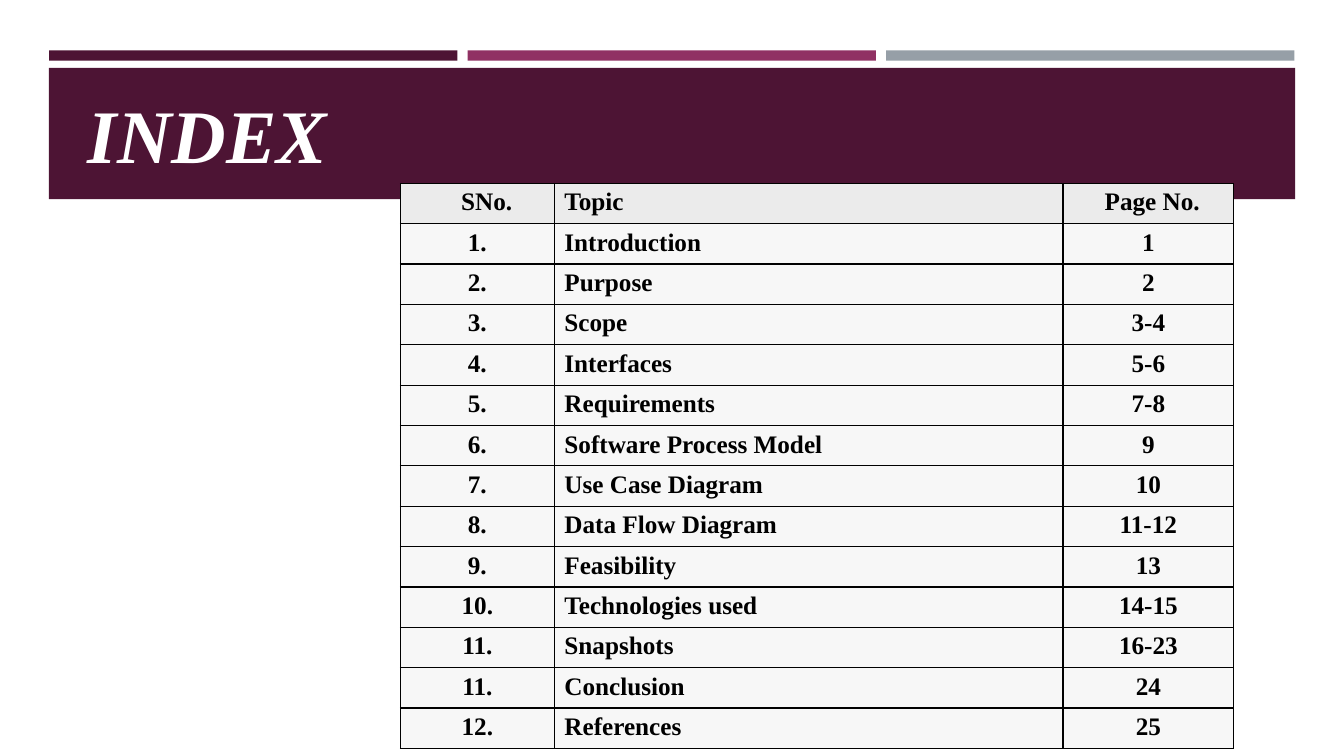
from lxml import etree
from pptx import Presentation
from pptx.dml.color import RGBColor
from pptx.enum.shapes import MSO_SHAPE
from pptx.enum.text import MSO_ANCHOR, PP_ALIGN
from pptx.oxml.ns import qn
from pptx.util import Cm, Pt

RECTANGLE = MSO_SHAPE.RECTANGLE
BOTTOM = MSO_ANCHOR.BOTTOM
LEFT, CENTER = PP_ALIGN.LEFT, PP_ALIGN.CENTER

PLUM = RGBColor(0x4D, 0x14, 0x34)
MAGENTA = RGBColor(0x90, 0x31, 0x63)
GREY = RGBColor(0x96, 0x9F, 0xA7)
WHITE = RGBColor(0xFF, 0xFF, 0xFF)
BLACK = RGBColor(0, 0, 0)
HEADER_FILL = RGBColor(0xEB, 0xEB, 0xEB)
BODY_FILL = RGBColor(0xF7, 0xF7, 0xF7)
FONT = "Times New Roman"

HEADINGS = ("SNo.", "Topic", "Page No.")
HEADING_MARGINS = (Cm(1.53), Cm(0.25), Cm(1.05))
COLUMN_WIDTHS = (Cm(3.88), Cm(12.82), Cm(4.3))
ALIGNMENTS = (CENTER, LEFT, CENTER)
TOPICS = [
    ("1.", "Introduction", "1"),
    ("2.", "Purpose", "2"),
    ("3.", "Scope", "3-4"),
    ("4.", "Interfaces", "5-6"),
    ("5.", "Requirements", "7-8"),
    ("6.", "Software Process Model", "9"),
    ("7.", "Use Case Diagram", "10"),
    ("8.", "Data Flow Diagram", "11-12"),
    ("9.", "Feasibility", "13"),
    ("10.", "Technologies used", "14-15"),
    ("11.", "Snapshots", "16-23"),
    ("11.", "Conclusion", "24"),
    ("12.", "References", "25"),
]


def add_bar(slide, left, top, width, height, color):
    bar = slide.shapes.add_shape(RECTANGLE, left, top, width, height)
    bar.shadow.inherit = False
    bar.fill.solid()
    bar.fill.fore_color.rgb = color
    bar.line.fill.background()


def style_text(paragraph, size, color, italic=False):
    for run in paragraph.runs:
        run.font.name = FONT
        run.font.size = Pt(size)
        run.font.bold = True
        run.font.italic = italic
        run.font.color.rgb = color


def add_stripes(slide, left, top, width, height):
    gap = Cm(0.26)
    colors = (PLUM, MAGENTA, GREY)
    stripe_width = (width - gap * (len(colors) - 1)) // len(colors)
    for index, color in enumerate(colors):
        add_bar(slide, left + index * (stripe_width + gap), top,
                stripe_width, height, color)


def add_title_band(slide, left, top, width, height):
    add_bar(slide, left, top, width, height, PLUM)
    title = slide.shapes.add_textbox(left + Cm(0.73), top + Cm(0.28),
                                     Cm(27.5), Cm(2.64))
    text_frame = title.text_frame
    text_frame.word_wrap = True
    text_frame.vertical_anchor = BOTTOM
    text_frame.text = "INDEX"
    style_text(text_frame.paragraphs[0], 54, WHITE, italic=True)


def add_borders(cell):
    properties = cell._tc.get_or_add_tcPr()
    for side in ("a:lnL", "a:lnR", "a:lnT", "a:lnB"):
        line = etree.SubElement(properties, qn(side), w=str(Pt(1)))
        fill = etree.SubElement(line, qn("a:solidFill"))
        etree.SubElement(fill, qn("a:srgbClr"), val=str(BLACK))


def fill_cell(cell, text, color, alignment):
    add_borders(cell)
    cell.fill.solid()
    cell.fill.fore_color.rgb = color
    cell.text_frame.text = text
    paragraph = cell.text_frame.paragraphs[0]
    paragraph.alignment = alignment
    style_text(paragraph, 18, BLACK)


def add_index_table(slide, left, top, width, height):
    table = slide.shapes.add_table(len(TOPICS) + 1, len(HEADINGS),
                                   left, top, width, height).table
    for column, column_width in zip(table.columns, COLUMN_WIDTHS):
        column.width = column_width
    for index, heading in enumerate(HEADINGS):
        cell = table.cell(0, index)
        fill_cell(cell, heading, HEADER_FILL, LEFT)
        cell.margin_left = HEADING_MARGINS[index]
    for row, topic in enumerate(TOPICS, start=1):
        for column, text in enumerate(topic):
            fill_cell(table.cell(row, column), text, BODY_FILL,
                      ALIGNMENTS[column])


def main():
    presentation = Presentation()
    presentation.slide_width = Cm(33.87)
    presentation.slide_height = Cm(19.05)
    slide = presentation.slides.add_slide(presentation.slide_layouts[6])
    add_stripes(slide, Cm(1.24), Cm(1.27), Cm(31.38), Cm(0.26))
    add_title_band(slide, Cm(1.23), Cm(1.71), Cm(31.41), Cm(3.31))
    add_index_table(slide, Cm(10.09), Cm(4.62), sum(COLUMN_WIDTHS), Cm(13.76))
    presentation.save("out.pptx")


if __name__ == "__main__":
    main()
